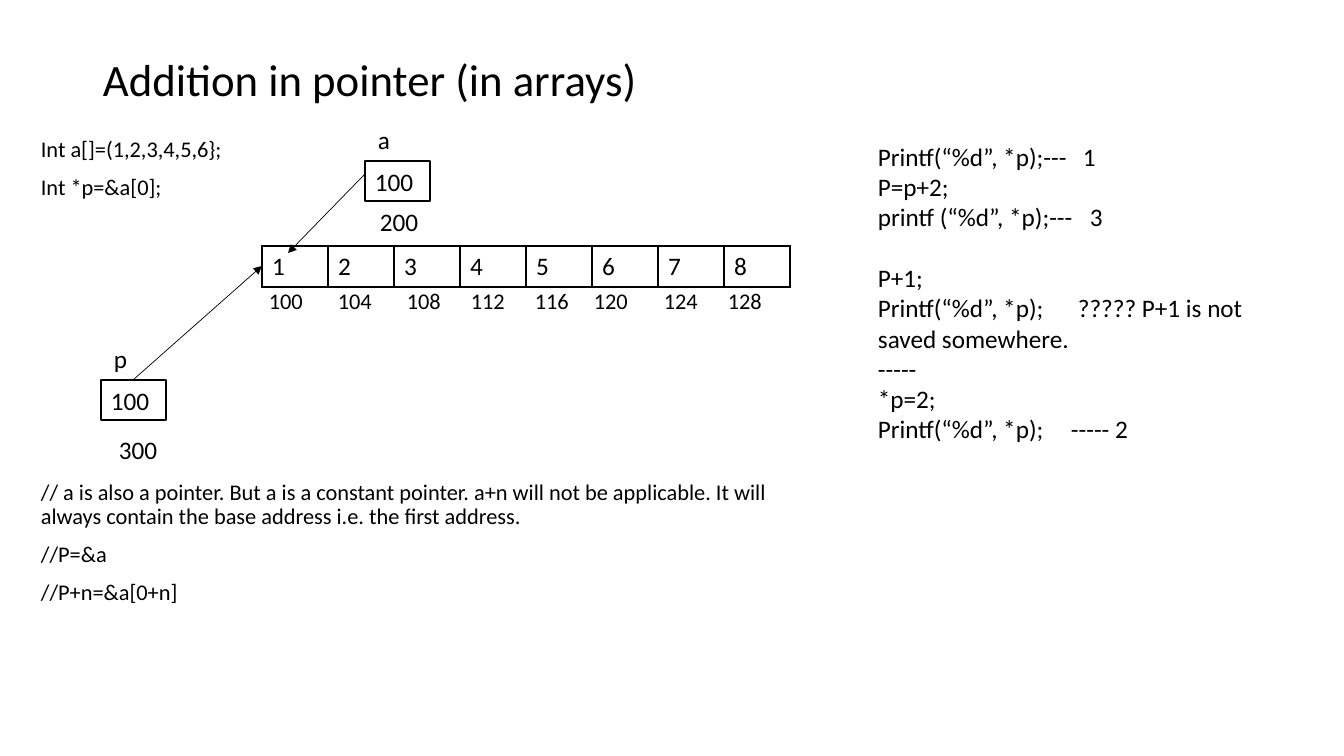
"""Build a slide on pointer addition in arrays."""
from lxml.etree import SubElement
from pptx import Presentation
from pptx.dml.color import RGBColor
from pptx.enum.shapes import MSO_CONNECTOR, MSO_SHAPE
from pptx.enum.text import MSO_ANCHOR
from pptx.oxml.ns import qn
from pptx.util import Pt

TITLE = "Addition in pointer (in arrays)"
DECLARATIONS = ["Int a[]=(1,2,3,4,5,6};", "Int *p=&a[0];"]
NOTES = [
    "// a is also a pointer. But a is a constant pointer. a+n will not be "
    "applicable. It will always contain the base address i.e. the first address.",
    "//P=&a",
    "//P+n=&a[0+n]",
]
VALUES = ["1", "2", "3", "4", "5", "6", "7", "8"]
ADDRESSES = [("100", 259), ("104", 328), ("108", 397), ("112", 461),
             ("116", 525), ("120", 584), ("124", 654), ("128", 718)]
LABELS = [("a", 368, 119), ("200", 370, 201), ("p", 104, 338), ("300", 109, 429)]
POINTERS = [("100", 365, 161), ("100", 101, 380)]
ARROWS = [(133, 380, 262, 266), (365, 174, 288, 246 + 7)]
CODE = [
    ("Printf(“%d”, *p);---\t1", 205, 0),
    ("P=p+2;", 0, 0),
    ("printf (“%d”, *p);---\t3", 212, 0),
    ("P+1;", 0, 22),
    ("Printf(“%d”, *p);\t????? P+1 is not saved somewhere.", 200, 0),
    ("-----", 0, 0),
    ("*p=2;", 0, 0),
    ("Printf(“%d”, *p);\t----- 2", 193, 0),
]

THEME = {
    "font": "Calibri", "ink": RGBColor(0, 0, 0), "paper": RGBColor(255, 255, 255),
    "title": Pt(32), "body": Pt(16), "label": Pt(18),
    "border": Pt(1), "arrow": Pt(0.5),
}
BODY = {"line_spacing": 0.9, "space_before": Pt(10)}
BOX_W, BOX_H = 65, 40
CELL_W, CELL_H = 66, 41


def px(n):
    return round(n * 914400 / 100.8)


def apply(obj, values):
    for name, value in values.items():
        setattr(obj, name, value)


def write(tf, lines, size, fmt=None):
    tf.word_wrap = True
    for i, line in enumerate(lines):
        p = tf.paragraphs[0] if i == 0 else tf.add_paragraph()
        apply(p, fmt or {})
        r = p.add_run()
        r.text = line
        apply(r.font, {"name": THEME["font"], "size": THEME[size]})
        r.font.color.rgb = THEME["ink"]


def add_text(s, box, lines, size, fmt=None):
    tf = s.shapes.add_textbox(*map(px, box)).text_frame
    write(tf, lines, size, fmt)
    return tf


def add_pointer(s, text, x, y):
    sp = s.shapes.add_shape(MSO_SHAPE.RECTANGLE, *map(px, (x, y, BOX_W, BOX_H)))
    sp.shadow.inherit = False
    sp.fill.solid()
    sp.fill.fore_color.rgb = THEME["paper"]
    sp.line.color.rgb = THEME["ink"]
    sp.line.width = THEME["border"]
    write(sp.text_frame, [text], "label", {"alignment": 1})


def add_arrow(s, ends):
    c = s.shapes.add_connector(MSO_CONNECTOR.STRAIGHT, *map(px, ends))
    c.line.color.rgb = THEME["ink"]
    c.line.width = THEME["arrow"]
    SubElement(c.line._get_or_add_ln(), qn("a:tailEnd"), type="triangle")
    SubElement(c._element.spPr, qn("a:effectLst"))


def add_array(s, x, y):
    frame = s.shapes.add_table(1, len(VALUES), px(x), px(y),
                               px(CELL_W * len(VALUES)), px(CELL_H))
    apply(frame.table, {"first_row": False, "horz_banding": False})
    frame.table.rows[0].height = px(CELL_H)
    for cell, value in zip(frame.table.rows[0].cells, VALUES):
        tcPr = cell._tc.get_or_add_tcPr()
        for side in ("lnL", "lnR", "lnT", "lnB"):
            ln = SubElement(tcPr, qn(f"a:{side}"), w=str(THEME["border"]))
            fill = SubElement(ln, qn("a:solidFill"))
            SubElement(fill, qn("a:srgbClr"), val=str(THEME["ink"]))
        cell.fill.background()
        write(cell.text_frame, [value], "label")


def add_code(s, box):
    tf = add_text(s, box, [line for line, _, _ in CODE], "label")
    for p, (_, tab, gap) in zip(tf.paragraphs, CODE):
        p.space_before = Pt(gap)
        if tab:
            tabs = SubElement(p._p.get_or_add_pPr(), qn("a:tabLst"))
            SubElement(tabs, qn("a:tab"), pos=str(px(tab)), algn="l")


def main():
    prs = Presentation()
    apply(prs, {"slide_width": px(1344), "slide_height": px(756)})
    s = prs.slides.add_slide(prs.slide_layouts[6])
    title = add_text(s, (93, 21, 1159, 90), [TITLE], "title", {"line_spacing": 0.9})
    title.vertical_anchor = MSO_ANCHOR.BOTTOM
    add_text(s, (31, 133, 230, 80), DECLARATIONS, "body", BODY)
    add_text(s, (31, 476, 787, 150), NOTES, "body", BODY)
    add_array(s, 262, 246)
    for text, x in ADDRESSES:
        add_text(s, (x, 285, BOX_W, 35), [text], "body", BODY)
    for text, x, y in LABELS:
        add_text(s, (x, y, BOX_W, BOX_H), [text], "label")
    for pointer in POINTERS:
        add_pointer(s, *pointer)
    for ends in ARROWS:
        add_arrow(s, ends)
    add_code(s, (868, 136, 398, 468))
    prs.save("out.pptx")


if __name__ == "__main__":
    main()
